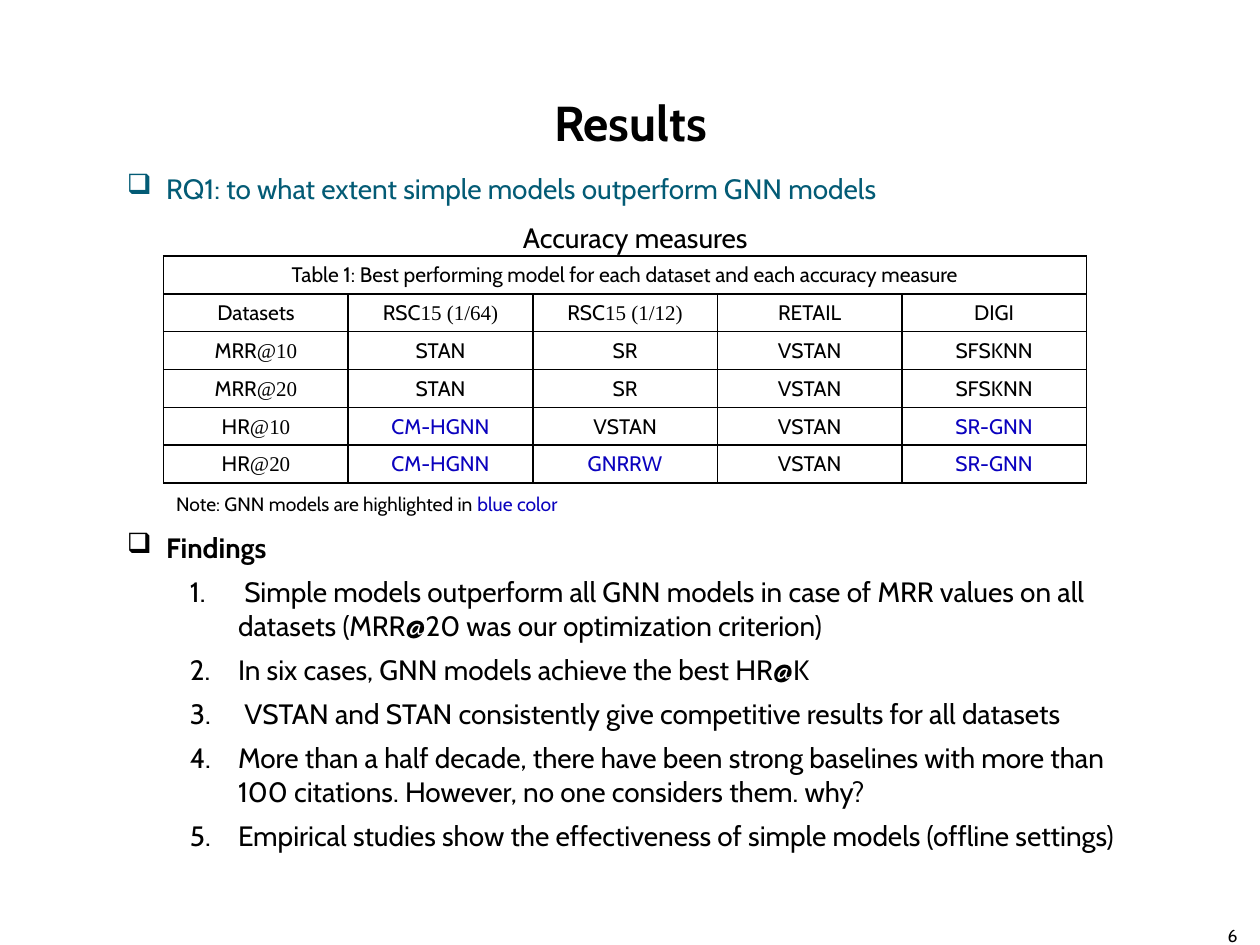
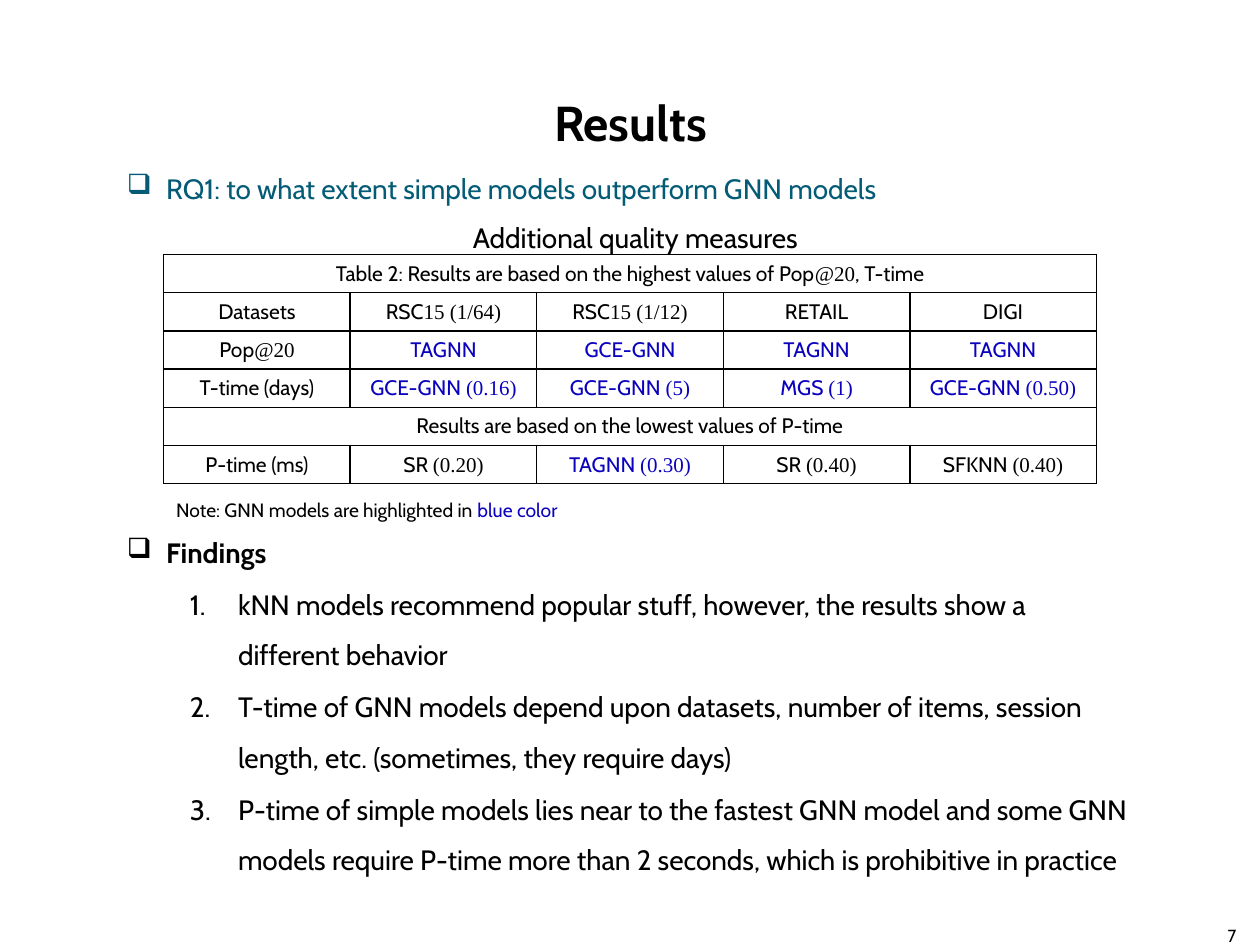
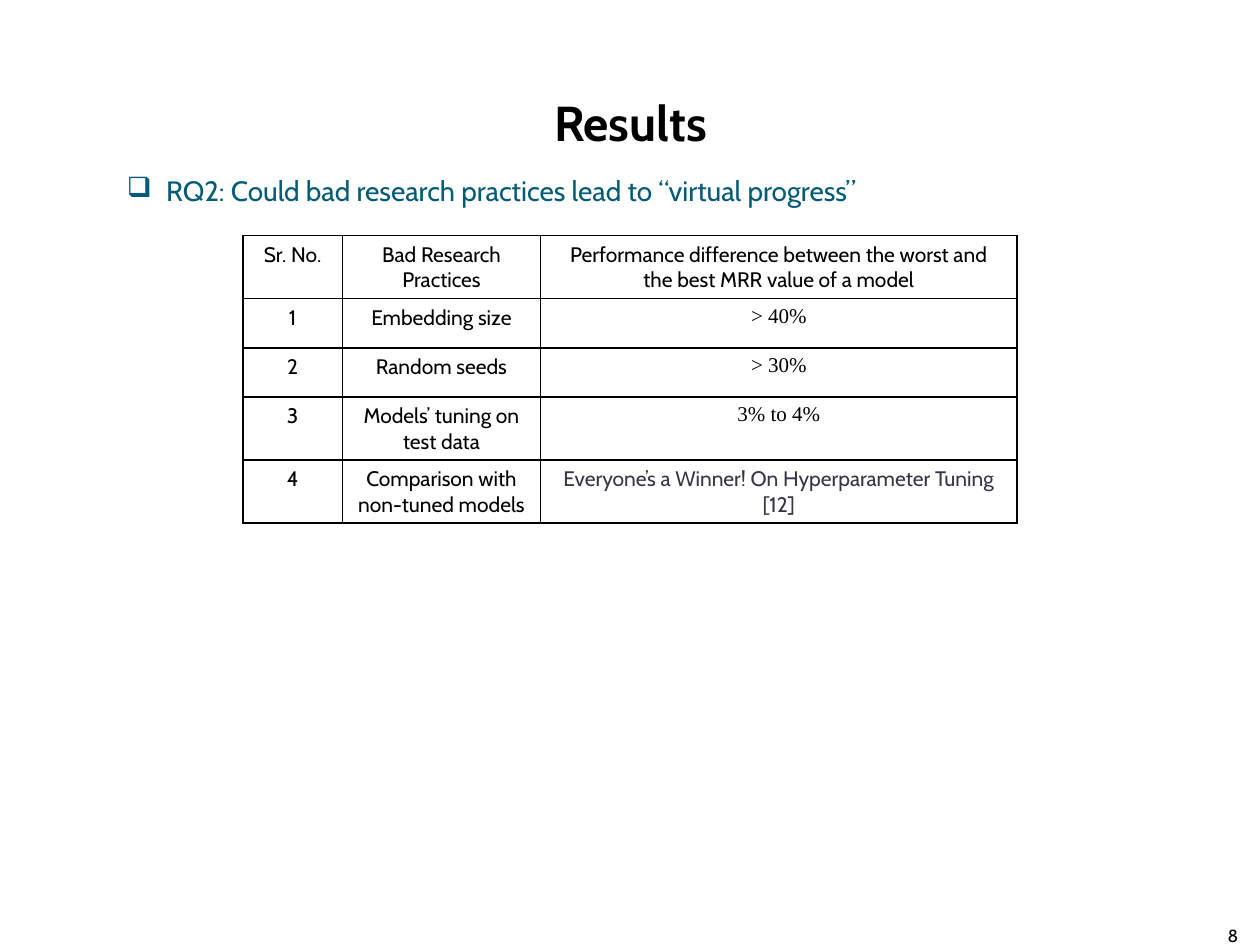
from dataclasses import dataclass
from itertools import cycle

from lxml.etree import SubElement
from pptx import Presentation
from pptx.dml.color import RGBColor
from pptx.enum.text import MSO_ANCHOR, MSO_AUTO_SIZE, PP_ALIGN
from pptx.oxml import parse_xml
from pptx.oxml.ns import nsdecls, qn
from pptx.util import Cm, Pt


@dataclass(frozen=True)
class Theme:
    text: RGBColor = RGBColor(0x00, 0x00, 0x00)
    question: RGBColor = RGBColor(0x03, 0x5B, 0x75)
    gnn: RGBColor = RGBColor(0x0B, 0x02, 0xBE)
    citation: RGBColor = RGBColor(0x37, 0x35, 0x45)
    border: str = "000000"
    font: str = "Cabin"
    figures: str = "Times New Roman"
    title: Pt = Pt(28)
    body: Pt = Pt(16)
    cell: Pt = Pt(12)
    note: Pt = Pt(11)
    number: Pt = Pt(10)


T = Theme()
GNN_MODELS = {"CM-HGNN", "SR-GNN", "GNRRW", "TAGNN", "GCE-GNN", "MGS"}
CITATION = "Everyone’s a Winner! On Hyperparameter Tuning [12]"
RQ1 = "RQ1: to what extent simple models outperform GNN models"
HEADER = ["Datasets", "RSC|15 (1/64)", "RSC|15 (1/12)", "RETAIL", "DIGI"]
BULLETS = {
    "box": (Cm(0.79), "buChar", {"char": "❑"}),
    "number": (Cm(0.97), "buAutoNum", {"type": "arabicPeriod"}),
}

# In table cells a bar switches between the text font and the figures font.
SLIDES = [
    {
        "number": "6",
        "question": RQ1,
        "question_spacing": 1.0,
        "caption": "Accuracy measures",
        "table": (3.3, 5.16, [3.72] * 5, [0.76] * 6),
        "rows": [
            ["Table 1: Best performing model for each dataset and each accuracy measure"],
            HEADER,
            ["MRR|@10", "STAN", "SR", "VSTAN", "SFSKNN"],
            ["MRR|@20", "STAN", "SR", "VSTAN", "SFSKNN"],
            ["HR|@10", "CM-HGNN", "VSTAN", "VSTAN", "SR-GNN"],
            ["HR|@20", "CM-HGNN", "GNRRW", "VSTAN", "SR-GNN"],
        ],
        "note_top": 9.8,
        "findings_box": (10.57, 6.81),
        "findings_format": {"space_before": Pt(6)},
        "findings": [
            " Simple models outperform all GNN models in case of MRR values on all datasets (MRR@20 was our optimization criterion)",
            "In six cases, GNN models achieve the best HR@K",
            " VSTAN and STAN consistently give competitive results for all datasets",
            "More than a half decade, there have been strong baselines with more than 100 citations. However, no one considers them. why?",
            "Empirical studies show the effectiveness of simple models (offline settings)",
        ],
    },
    {
        "number": "7",
        "question": RQ1,
        "question_spacing": 1.0,
        "caption": "Additional quality measures",
        "table": (3.3, 5.13, [3.76] * 5, [0.77] * 6),
        "rows": [
            ["Table 2: Results are based on the highest values of Pop|@20|, T-time"],
            HEADER,
            ["Pop|@20", "TAGNN", "GCE-GNN", "TAGNN", "TAGNN"],
            ["T-time (days)", "GCE-GNN |(0.16)", "GCE-GNN |(5)", "MGS |(1)", "GCE-GNN |(0.50)"],
            ["Results are based on the lowest values of P-time"],
            ["P-time (ms)", "SR |(0.20)", "TAGNN |(0.30)", "SR |(0.40)", "SFKNN |(0.40)"],
        ],
        "note_top": 9.93,
        "findings_box": (10.67, 7.09),
        "findings_format": {"space_before": Pt(1), "line_spacing": 1.5},
        "findings": [
            "kNN models recommend popular stuff, however, the results show a different behavior",
            "T-time of GNN models depend upon datasets, number of items, session length, etc. (sometimes, they require days)",
            "P-time of simple models lies near to the fastest GNN model and some GNN models require P-time more than 2 seconds, which is prohibitive in practice",
        ],
    },
    {
        "number": "8",
        "question": "RQ2: Could bad research practices lead to “virtual progress”",
        "question_spacing": 1.07,
        "table": (4.9, 4.75, [2.0, 4.0, 9.6], [1.27, 0.99, 0.99, 1.27, 1.27]),
        "rows": [
            ["Sr. No.", "Bad Research Practices",
             "Performance difference between the worst and the best MRR value of a model"],
            ["1", "Embedding size", "|> 40%"],
            ["2", "Random seeds", "|> 30%"],
            ["3", "Models’ tuning on test data", "|3% to 4%"],
            ["4", "Comparison with non-tuned models", CITATION],
        ],
    },
]


def write(p, text, color=T.text, bullet=None, para=None, **font):
    if bullet:
        hang, tag, attrs = BULLETS[bullet]
        pPr = p._p.get_or_add_pPr()
        pPr.set("marL", str(Cm(2.24) if bullet == "number" else hang))
        pPr.set("indent", str(-hang))
        SubElement(pPr, qn(f"a:{tag}"), attrs)
    for key, value in (para or {}).items():
        setattr(p, key, value)
    for part, name in zip(text.split("|"), cycle([T.font, T.figures])):
        if part:
            r = p.add_run()
            r.text = part
            for key, value in {"name": name, "size": T.body, **font}.items():
                setattr(r.font, key, value)
            r.font.color.rgb = color


def text_box(s, left, top, width, height, auto_size=MSO_AUTO_SIZE.SHAPE_TO_FIT_TEXT):
    sp = s.shapes.add_textbox(Cm(left), Cm(top), Cm(width), Cm(height))
    tf = sp.text_frame
    for key, value in {"word_wrap": True, "auto_size": auto_size}.items():
        setattr(tf, key, value)
    return tf


prs = Presentation()
prs.slide_width, prs.slide_height = Cm(25.4), Cm(19.05)
centered = {"alignment": PP_ALIGN.CENTER}

for data in SLIDES:
    s = prs.slides.add_slide(prs.slide_layouts[5])

    title = s.shapes.title
    frame = {"left": Cm(2.31), "top": Cm(1.73), "width": Cm(20.8), "height": Cm(1.45)}
    for key, value in frame.items():
        setattr(title, key, value)
    tf = title.text_frame
    for key, value in {"vertical_anchor": MSO_ANCHOR.TOP, "word_wrap": True,
                       "auto_size": MSO_AUTO_SIZE.NONE}.items():
        setattr(tf, key, value)
    write(tf.paragraphs[0], "Results", para=centered, size=T.title, bold=True)

    tf = text_box(s, 2.31, 3.33, 20.8, 0.94)
    write(tf.paragraphs[0], data["question"], T.question, "box",
          {"line_spacing": data["question_spacing"]})

    left, top, widths, heights = data["table"]
    rows = data["rows"]
    table = s.shapes.add_table(len(heights), len(widths), Cm(left), Cm(top),
                               Cm(sum(widths)), Cm(sum(heights))).table
    table.first_row = table.horz_banding = False
    for column, width in zip(table.columns, widths):
        column.width = Cm(width)
    for row, height, texts in zip(table.rows, heights, rows):
        row.height = Cm(height)
        if len(texts) == 1:
            row.cells[0].merge(row.cells[len(widths) - 1])
        for cell in row.cells:
            tcPr = cell._tc.get_or_add_tcPr()
            for side in "LRTB":
                tcPr.append(parse_xml(
                    f'<a:ln{side} {nsdecls("a")} w="{Pt(1)}"><a:solidFill>'
                    f'<a:srgbClr val="{T.border}"/></a:solidFill></a:ln{side}>'))
            cell.fill.background()
        for cell, text in zip(row.cells, texts):
            model = text.split("|")[0].strip()
            color = T.gnn if model in GNN_MODELS else T.citation if text == CITATION else T.text
            write(cell.text_frame.paragraphs[0], text, color, para=centered, size=T.cell)

    if "findings" in data:
        tf = text_box(s, 3.51, 4.32, 18.6, 0.94)
        write(tf.paragraphs[0], data["caption"], para=centered)

        p = text_box(s, 3.3, data["note_top"], sum(widths), 0.74).paragraphs[0]
        write(p, "Note: GNN models are highlighted in ", size=T.note)
        write(p, "blue color", T.gnn, size=T.note)

        top, height = data["findings_box"]
        tf = text_box(s, 2.31, top, 20.8, height)
        write(tf.paragraphs[0], "Findings", bullet="box", bold=True)
        for finding in data["findings"]:
            write(tf.add_paragraph(), finding, bullet="number",
                  para={"level": 1, **data["findings_format"]})

    tf = text_box(s, 24.5, 18.52, 0.89, 0.53, MSO_AUTO_SIZE.NONE)
    write(tf.paragraphs[0], data["number"], size=T.number)

prs.save("out.pptx")
